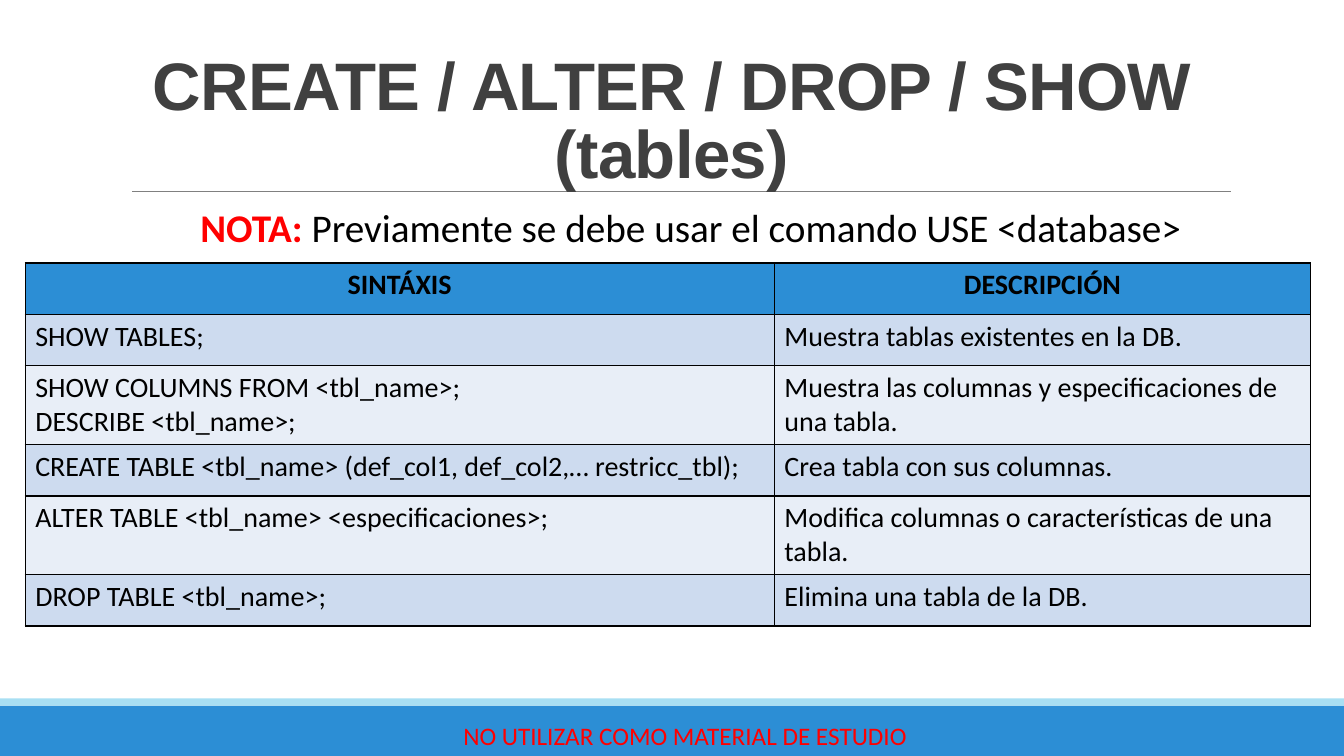
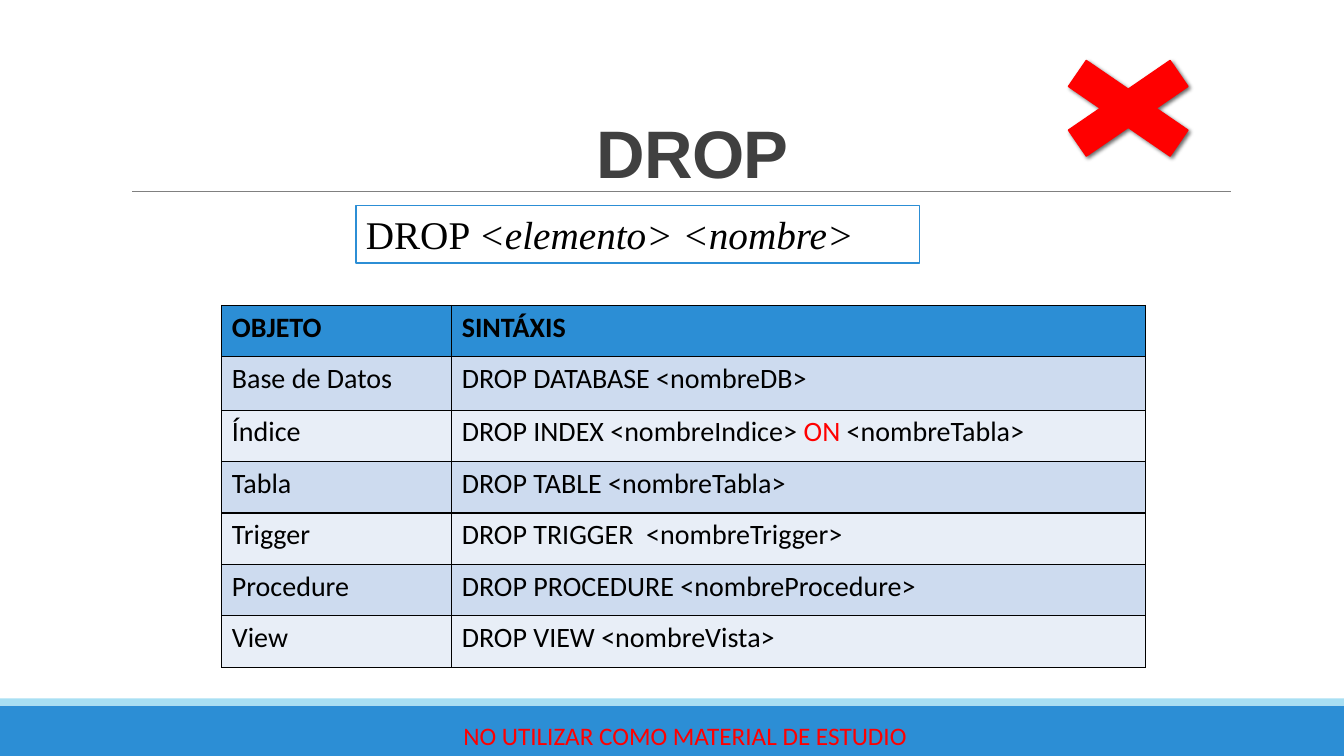
from dataclasses import dataclass

from lxml import etree
from pptx import Presentation
from pptx.dml.color import RGBColor
from pptx.enum.shapes import MSO_CONNECTOR, MSO_SHAPE
from pptx.enum.text import MSO_ANCHOR, MSO_AUTO_SIZE, PP_ALIGN
from pptx.oxml import parse_xml
from pptx.oxml.ns import nsdecls, qn
from pptx.presentation import Presentation as Deck
from pptx.shapes.autoshape import Shape
from pptx.slide import Slide
from pptx.text.text import TextFrame
from pptx.util import Inches, Pt

RECTANGLE, MULTIPLY = MSO_SHAPE.RECTANGLE, MSO_SHAPE.MATH_MULTIPLY
STRAIGHT = MSO_CONNECTOR.STRAIGHT
TOP, MIDDLE, BOTTOM = MSO_ANCHOR.TOP, MSO_ANCHOR.MIDDLE, MSO_ANCHOR.BOTTOM
LEFT, CENTER = PP_ALIGN.LEFT, PP_ALIGN.CENTER
NO_FIT, GROW = MSO_AUTO_SIZE.NONE, MSO_AUTO_SIZE.SHAPE_TO_FIT_TEXT

BLUE, PALE_BLUE = "2C8ED5", "A8DFF3"
ROW_FILLS = ("CDDBEF", "E8EEF7")
RED, BLACK, WHITE = "FF0000", "000000", "FFFFFF"
TITLE_GRAY, RULE_GRAY = "404040", "808080"
TITLE_FONT, BODY_FONT, SYNTAX_FONT = "Arial", "Calibri", "Times New Roman"
SLIDE_WIDTH, SLIDE_HEIGHT = 13.33, 7.5
BAND_TOP, STRIPE_HEIGHT = 7, 0.07
ROW_HEIGHT = 0.51


@dataclass(frozen=True)
class Box:
    left: float
    top: float
    width: float
    height: float

    def lengths(self) -> tuple[Inches, Inches, Inches, Inches]:
        return Inches(self.left), Inches(self.top), Inches(self.width), Inches(self.height)


@dataclass(frozen=True)
class Piece:
    text: str
    color: str = BLACK
    bold: bool = False
    italic: bool = False


@dataclass(frozen=True)
class SyntaxTable:
    left: float
    top: float
    column_widths: tuple[float, ...]
    row_heights: tuple[float, ...]
    header: tuple[str, ...]
    header_align: PP_ALIGN
    rows: tuple[tuple[str | tuple[Piece, ...], ...], ...]


COMMANDS = SyntaxTable(
    0.25, 2.61, (7.43, 5.32), (ROW_HEIGHT,) * 6,
    ("SINTÁXIS", "DESCRIPCIÓN"), CENTER,
    (
        ("SHOW TABLES;", "Muestra tablas existentes en la DB."),
        ("SHOW COLUMNS FROM <tbl_name>;\nDESCRIBE <tbl_name>;",
         "Muestra las columnas y especificaciones de una tabla."),
        ("CREATE TABLE <tbl_name> (def_col1, def_col2,… restricc_tbl);",
         "Crea tabla con sus columnas."),
        ("ALTER TABLE <tbl_name> <especificaciones>;",
         "Modifica columnas o características de una tabla."),
        ("DROP TABLE <tbl_name>;", "Elimina una tabla de la DB."),
    ),
)

DROPS = SyntaxTable(
    2.2, 3.03, (2.28, 6.88), (ROW_HEIGHT, 0.53) + (ROW_HEIGHT,) * 5,
    ("OBJETO", "SINTÁXIS"), LEFT,
    (
        ("Base de Datos", "DROP DATABASE <nombreDB>"),
        ("Índice", (Piece("DROP INDEX <nombreIndice> "), Piece("ON", RED),
                    Piece(" <nombreTabla>"))),
        ("Tabla", "DROP TABLE <nombreTabla>"),
        ("Trigger", "DROP TRIGGER  <nombreTrigger>"),
        ("Procedure", "DROP PROCEDURE <nombreProcedure>"),
        ("View", "DROP VIEW <nombreVista>"),
    ),
)


def rgb(color: str) -> RGBColor:
    return RGBColor.from_string(color)


def write(frame: TextFrame, content: str | tuple[Piece, ...], font: str, size: float,
          color: str = BLACK, bold: bool = False, align: PP_ALIGN = LEFT) -> None:
    if isinstance(content, str):
        frame.text = content
        styled = [(run, Piece(run.text, color, bold))
                  for paragraph in frame.paragraphs for run in paragraph.runs]
    else:
        styled = [(frame.paragraphs[0].add_run(), piece) for piece in content]
    for run, piece in styled:
        run.text = piece.text
        run.font.name = font
        run.font.size = Pt(size)
        run.font.color.rgb = rgb(piece.color)
        run.font.bold = piece.bold
        run.font.italic = piece.italic
    for paragraph in frame.paragraphs:
        paragraph.alignment = align


def add_filled(slide: Slide, kind: MSO_SHAPE, box: Box, fill: str,
               outline: str | None = None, weight: float = 1) -> Shape:
    shape = slide.shapes.add_shape(kind, *box.lengths())
    shape.shadow.inherit = False
    shape.fill.solid()
    shape.fill.fore_color.rgb = rgb(fill)
    if outline is None:
        shape.line.fill.background()
    else:
        shape.line.color.rgb = rgb(outline)
        shape.line.width = Pt(weight)
    return shape


def add_frame(slide: Slide) -> None:
    add_filled(slide, RECTANGLE,
               Box(0, BAND_TOP, SLIDE_WIDTH, SLIDE_HEIGHT - BAND_TOP), BLUE)
    add_filled(slide, RECTANGLE,
               Box(0, BAND_TOP - STRIPE_HEIGHT, SLIDE_WIDTH, STRIPE_HEIGHT), PALE_BLUE)
    rule = slide.shapes.add_connector(
        STRAIGHT, Inches(1.31), Inches(1.9), Inches(12.21), Inches(1.9))
    rule.line.color.rgb = rgb(RULE_GRAY)
    rule.line.width = Pt(0.5)
    etree.SubElement(rule._element.spPr, qn("a:effectLst"))
    footer = slide.shapes.add_textbox(*Box(4.16, 7.1, 5.27, 0.4).lengths()).text_frame
    footer.word_wrap = True
    footer.vertical_anchor = MIDDLE
    write(footer, "NO UTILIZAR COMO MATERIAL DE ESTUDIO", BODY_FONT, 18, RED, align=CENTER)


def add_titled_slide(deck: Deck, heading: str, box: Box) -> Slide:
    slide = deck.slides.add_slide(deck.slide_layouts[5])
    add_frame(slide)
    title = slide.shapes.title
    slide.shapes._spTree.append(title._element)
    title.left, title.top, title.width, title.height = box.lengths()
    frame = title.text_frame
    frame.auto_size = NO_FIT
    frame.word_wrap = True
    frame.vertical_anchor = BOTTOM
    write(frame, heading, TITLE_FONT, 48, TITLE_GRAY, True, CENTER)
    for paragraph in frame.paragraphs:
        paragraph.line_spacing = 0.85
        paragraph.space_before = Pt(0)
        for run in paragraph.runs:
            run.font._element.set("spc", "-50")
    return slide


def add_syntax_table(slide: Slide, content: SyntaxTable) -> None:
    rows = (content.header, *content.rows)
    box = Box(content.left, content.top, sum(content.column_widths), sum(content.row_heights))
    table = slide.shapes.add_table(len(rows), len(content.header), *box.lengths()).table
    for column, width in zip(table.columns, content.column_widths):
        column.width = Inches(width)
    for row, height in zip(table.rows, content.row_heights):
        row.height = Inches(height)
    for row_index, texts in enumerate(rows):
        is_header = row_index == 0
        for column_index, text in enumerate(texts):
            cell = table.cell(row_index, column_index)
            write(cell.text_frame, text, BODY_FONT, 20, bold=is_header,
                  align=content.header_align if is_header else LEFT)
            properties = cell._tc.get_or_add_tcPr()
            for side in ("lnL", "lnR", "lnT", "lnB"):
                properties.append(parse_xml(
                    f'<a:{side} {nsdecls("a")} w="{Pt(1)}"><a:solidFill>'
                    f'<a:srgbClr val="{BLACK}"/></a:solidFill></a:{side}>'))
            cell.fill.solid()
            cell.fill.fore_color.rgb = rgb(
                BLUE if is_header else ROW_FILLS[(row_index - 1) % 2])


def add_cross(slide: Slide) -> None:
    cross = add_filled(slide, MULTIPLY, Box(10.22, 0.41, 1.94, 1.33), RED, RED)
    effects = cross._element.spPr.find(qn("a:effectLst"))
    effects.append(parse_xml(
        f'<a:outerShdw {nsdecls("a")} blurRad="{Pt(3)}" dist="{Pt(2)}" dir="2700000" '
        f'algn="tl" rotWithShape="0"><a:srgbClr val="{BLACK}">'
        '<a:alpha val="60000"/></a:srgbClr></a:outerShdw>'))


def build_commands(deck: Deck) -> None:
    slide = add_titled_slide(deck, "CREATE / ALTER / DROP / SHOW\n(tables)",
                             Box(0.6, 0.37, 12.13, 1.59))
    add_syntax_table(slide, COMMANDS)
    note = slide.shapes.add_textbox(*Box(1.89, 1.97, 10.07, 0.57).lengths()).text_frame
    note.word_wrap = False
    note.auto_size = GROW
    write(note, (Piece("NOTA: ", RED, bold=True),
                 Piece("Previamente se debe usar el comando USE <database>")), BODY_FONT, 28)


def build_drop(deck: Deck) -> None:
    slide = add_titled_slide(deck, "DROP", Box(1.37, 0.37, 11, 1.59))
    syntax = add_filled(slide, RECTANGLE, Box(3.53, 2.04, 5.59, 0.57),
                        WHITE, BLUE, 1.25).text_frame
    syntax.word_wrap = True
    syntax.auto_size = GROW
    syntax.vertical_anchor = TOP
    write(syntax, (Piece("DROP "), Piece("<elemento> <nombre>", italic=True)), SYNTAX_FONT, 28)
    add_syntax_table(slide, DROPS)
    add_cross(slide)


def main() -> None:
    deck = Presentation()
    deck.slide_width = Inches(SLIDE_WIDTH)
    deck.slide_height = Inches(SLIDE_HEIGHT)
    build_commands(deck)
    build_drop(deck)
    deck.save("out.pptx")


if __name__ == "__main__":
    main()
